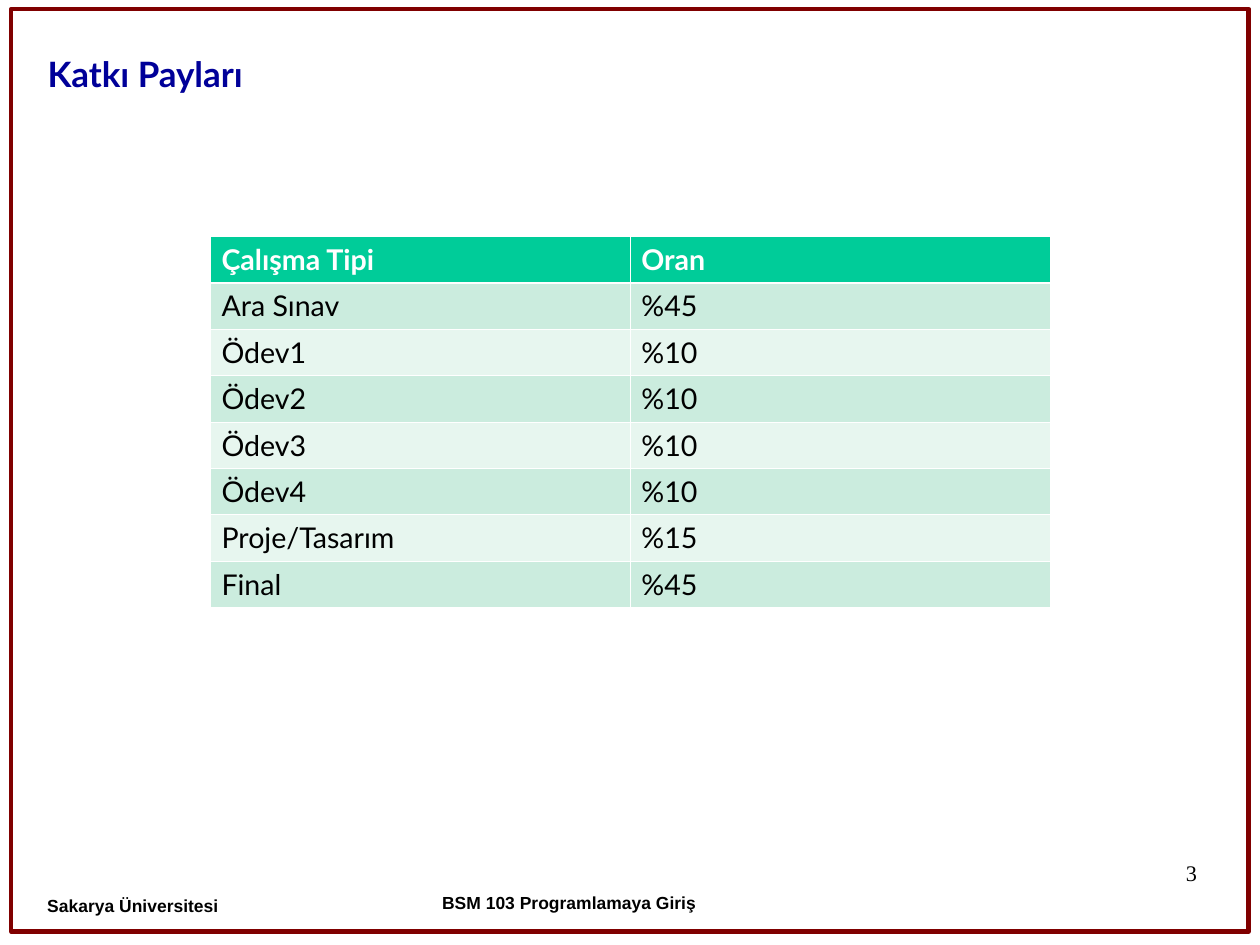
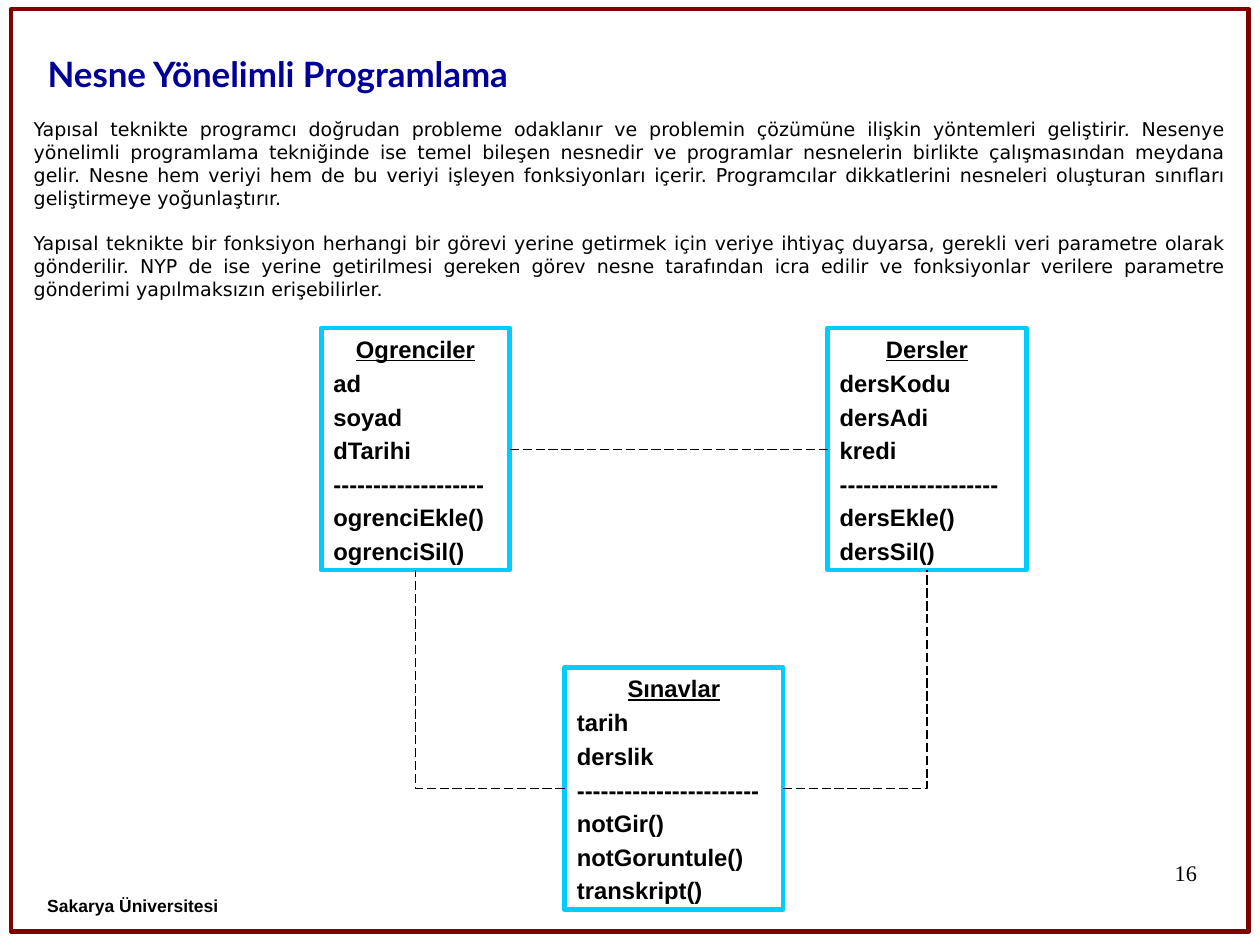
from dataclasses import dataclass
from lxml import etree
from pptx import Presentation
from pptx.dml.color import RGBColor
from pptx.enum.dml import MSO_LINE
from pptx.enum.shapes import MSO_CONNECTOR, MSO_SHAPE
from pptx.enum.text import MSO_ANCHOR, PP_ALIGN
from pptx.oxml.ns import qn
from pptx.util import Cm, Pt

LEFT, MID, RIGHT, FULL = PP_ALIGN.LEFT, PP_ALIGN.CENTER, PP_ALIGN.RIGHT, PP_ALIGN.JUSTIFY
TOP, CENTER, BOTTOM = MSO_ANCHOR.TOP, MSO_ANCHOR.MIDDLE, MSO_ANCHOR.BOTTOM
ROUND, RECT = MSO_SHAPE.ROUNDED_RECTANGLE, MSO_SHAPE.RECTANGLE
LINE, ELBOW = MSO_CONNECTOR.STRAIGHT, MSO_CONNECTOR.ELBOW
DASH = MSO_LINE.LONG_DASH


@dataclass
class Theme:
    border: str = "800000"
    cyan: str = "00CCFF"
    black: str = "000000"
    white: str = "FFFFFF"
    green: str = "00CC99"
    bands: tuple = ("E7F6EF", "CBECDE")
    title: tuple = ("Lato", 22, "000099", True)
    foot: tuple = ("Arial", 11, "000000", True)
    page: tuple = ("Times New Roman", 14, "000000", False)
    body: tuple = ("DejaVu Sans", 12, "000000", False)
    entry: tuple = ("Arial", 15, "000000", True)
    head: tuple = ("Lato", 18, "FFFFFF", True)
    cell: tuple = ("Lato", 18, "000000", False)


theme = Theme()


def setup(frame, pad, anchor):
    frame.word_wrap = True
    frame.vertical_anchor = anchor
    frame.margin_left = frame.margin_right = Cm(pad[0])
    frame.margin_top = frame.margin_bottom = Cm(pad[1])
    return frame


def write(frame, text, style, align=LEFT, lead=1.0, gap=0, under=False):
    para = frame.add_paragraph() if frame.text else frame.paragraphs[0]
    para.alignment = align
    para.line_spacing = lead
    para.space_before = Pt(gap)
    run = para.add_run()
    run.text = text
    font = run.font
    font.name, size, color, font.bold = style
    font.size = Pt(size)
    font.color.rgb = RGBColor.from_string(color)
    font.underline = under


deck = Presentation()
deck.slide_width, deck.slide_height = Cm(28), Cm(21)

slides = []
for title, page in (("Katkı Payları", "3"), ("Nesne Yönelimli Programlama", "16")):
    slide = deck.slides.add_slide(deck.slide_layouts[6])
    slides.append(slide)
    border = slide.shapes.add_shape(ROUND, Cm(0.25), Cm(0.2), Cm(27.5), Cm(20.5))
    border.adjustments[0] = 0
    border.shadow.inherit = False
    border.fill.background()
    border.line.color.rgb = RGBColor.from_string(theme.border)
    border.line.width = Pt(2.83)
    parts = [
        (title, (0.79, 0.6, 22.4, 1.65), (0.27, 0.14), BOTTOM, theme.title, LEFT, 1.0),
        (page, (20.07, 19.13, 6.53, 1.45), (0, 0), TOP, theme.page, RIGHT, 0.95),
        ("Sakarya Üniversitesi", (0.5, 19.71, 6, 1.37), (0.55, 0.45), TOP, theme.foot, LEFT, 0.93),
    ]
    if slide is slides[0]:
        parts.append(("BSM 103 Programlamaya Giriş", (7.9, 19.71, 9.5, 1.3),
                      (0.55, 0.45), TOP, theme.foot, MID, 0.83))
    for text, at, pad, anchor, style, align, lead in parts:
        box = slide.shapes.add_textbox(*map(Cm, at))
        write(setup(box.text_frame, pad, anchor), text, style, align, lead)

rates, model = slides

rows = [
    ("Çalışma Tipi", "Oran"),
    ("Ara Sınav", "%45"),
    ("Ödev1", "%10"),
    ("Ödev2", "%10"),
    ("Ödev3", "%10"),
    ("Ödev4", "%10"),
    ("Proje/Tasarım", "%15"),
    ("Final", "%45"),
]
high = 1.03
table = rates.shapes.add_table(len(rows), 2, Cm(4.67), Cm(5.26), Cm(18.66), Cm(high * len(rows))).table
for row, texts in enumerate(rows):
    table.rows[row].height = Cm(high)
    for col, text in enumerate(texts):
        cell = table.cell(row, col)
        write(cell.text_frame, text, theme.cell if row else theme.head)
        props = cell._tc.get_or_add_tcPr()
        for side in ("lnL", "lnR", "lnT", "lnB"):
            thick = (row, side) in ((0, "lnB"), (1, "lnT"))
            edge = etree.SubElement(props, qn("a:" + side), w=str(Pt(1.47 if thick else 0.45)))
            fill = etree.SubElement(edge, qn("a:solidFill"))
            etree.SubElement(fill, qn("a:srgbClr"), val=theme.white)
        cell.fill.solid()
        cell.fill.fore_color.rgb = RGBColor.from_string(theme.bands[row % 2] if row else theme.green)

classes = [
    (7.14, 7.29, 4.19, "Ogrenciler",
     ("ad", "soyad", "dTarihi", "-------------------", "ogrenciEkle()", "ogrenciSil()")),
    (12.55, 14.83, 4.85, "Sınavlar",
     ("tarih", "derslik", "-----------------------", "notGir()", "notGoruntule()", "transkript()")),
    (18.39, 7.29, 4.42, "Dersler",
     ("dersKodu", "dersAdi", "kredi", "--------------------", "dersEkle()", "dersSil()")),
]
boxes = []
for left, top, width, name, items in classes:
    box = model.shapes.add_shape(RECT, Cm(left), Cm(top), Cm(width), Cm(5.38))
    box.shadow.inherit = False
    box.fill.background()
    box.line.color.rgb = RGBColor.from_string(theme.cyan)
    box.line.width = Pt(3)
    frame = setup(box.text_frame, (0.27, 0.14), TOP)
    write(frame, name, theme.entry, MID, under=True)
    for item in items:
        write(frame, item, theme.entry, lead=0.65, gap=9.4)
    boxes.append(box)

pupil, exam, course = boxes
for kind, start, out, end, into in (
    (LINE, pupil, 3, course, 1),
    (ELBOW, exam, 1, pupil, 2),
    (ELBOW, exam, 3, course, 2),
):
    ends = []
    for box, site in ((start, out), (end, into)):
        ends += [box.left + box.width * (0, 0, 1, 2)[site] // 2,
                 box.top + box.height * (0, 1, 2, 1)[site] // 2]
    link = model.shapes.add_connector(kind, *ends)
    link.begin_connect(start, out)
    link.end_connect(end, into)
    link.line.color.rgb = RGBColor.from_string(theme.black)
    link.line.width = Pt(0.75)
    link.line.dash_style = DASH
    props = link._element.spPr
    etree.SubElement(props, qn("a:effectLst"))
    if kind == ELBOW:
        props.find(qn("a:prstGeom")).set("prst", "bentConnector2")

body = model.shapes.add_textbox(Cm(0.5), Cm(2.74), Cm(27), Cm(3.81))
frame = setup(body.text_frame, (0.25, 0.13), CENTER)
for text, gap in (
    ("Yapısal teknikte programcı doğrudan probleme odaklanır ve problemin çözümüne ilişkin "
     "yöntemleri geliştirir. Nesenye yönelimli programlama tekniğinde ise temel bileşen nesnedir "
     "ve programlar nesnelerin birlikte çalışmasından meydana gelir. Nesne hem veriyi hem de bu "
     "veriyi işleyen fonksiyonları içerir. Programcılar dikkatlerini nesneleri oluşturan sınıfları "
     "geliştirmeye yoğunlaştırır.", 0),
    ("Yapısal teknikte bir fonksiyon herhangi bir görevi yerine getirmek için veriye ihtiyaç "
     "duyarsa, gerekli veri parametre olarak gönderilir. NYP de ise yerine getirilmesi gereken "
     "görev nesne tarafından icra edilir ve fonksiyonlar verilere parametre gönderimi "
     "yapılmaksızın erişebilirler.", 14),
):
    write(frame, text, theme.body, FULL, gap=gap)

deck.save("out.pptx")
